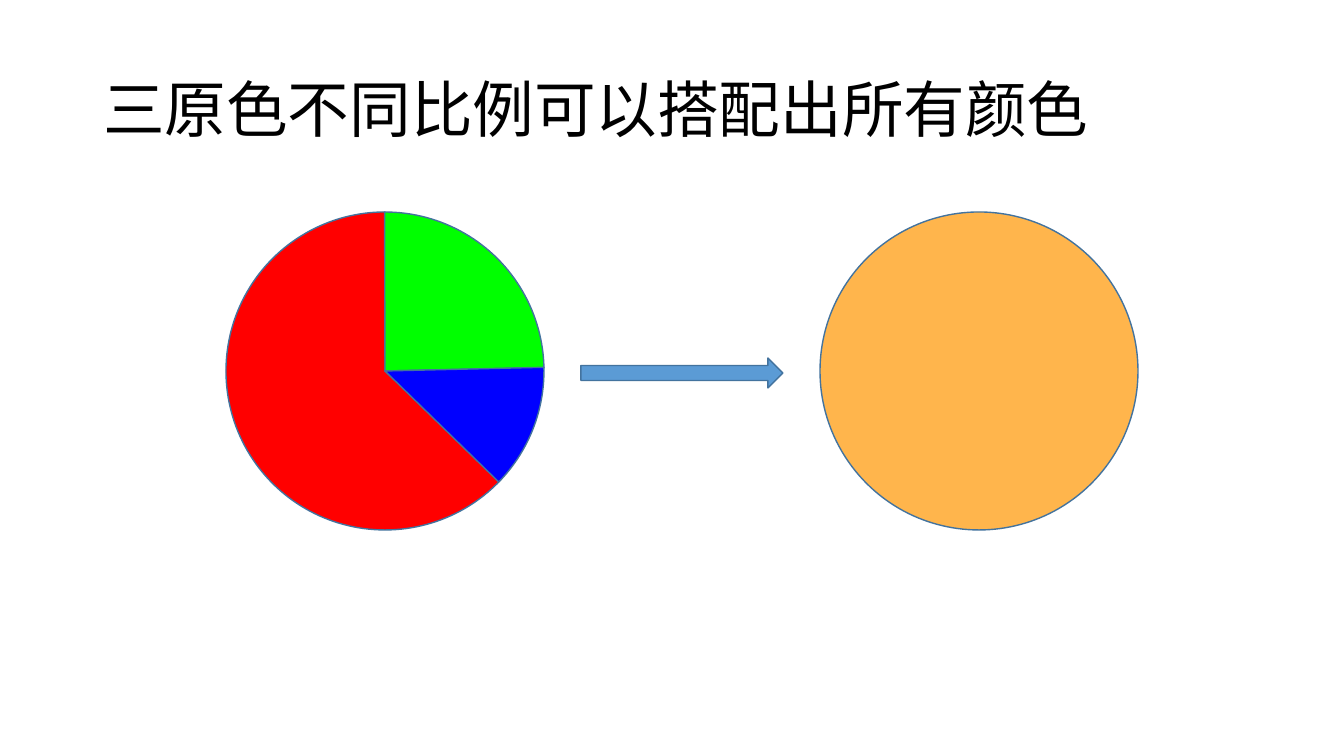
import pptx
import pptx.util
import pptx.dml.color
import pptx.enum.shapes
import pptx.enum.text
import dataclasses


@dataclasses.dataclass(frozen=True)
class Theme:
    font: str = "Calibri"
    title_size: int = 44
    text: str = "000000"
    outline: str = "43739E"
    outline_width: int = 1
    red: str = "FF0000"
    green: str = "00FF00"
    blue: str = "0000FF"
    mixed: str = "FFB54C"
    arrow: str = "5B9BD5"


theme = Theme()
PX = 914400 / 100.8
ADJUSTMENT_PER_DEGREE = 0.6
KIND = pptx.enum.shapes.MSO_SHAPE


def write_text(frame, text, *, size, color, font, align, line_spacing):
    para = frame.paragraphs[0]
    para.alignment = align
    para.line_spacing = line_spacing
    span = para.add_run()
    span.text = text
    span.font.name = font
    span.font.size = pptx.util.Pt(size)
    span.font.color.rgb = pptx.dml.color.RGBColor.from_string(color)


def draw_shape(shapes, kind, bounds, fill):
    shape = shapes.add_shape(kind, *[round(length * PX) for length in bounds])
    shape.shadow.inherit = False
    shape.fill.solid()
    shape.fill.fore_color.rgb = pptx.dml.color.RGBColor.from_string(fill)
    shape.line.color.rgb = pptx.dml.color.RGBColor.from_string(theme.outline)
    shape.line.width = pptx.util.Pt(theme.outline_width)
    return shape


deck = pptx.Presentation()
deck.slide_width = round(1344 * PX)
deck.slide_height = round(756 * PX)
page = deck.slides.add_slide(deck.slide_layouts[5])

title = page.shapes.title
title.left, title.top, title.width, title.height = [
    round(length * PX) for length in (93, 40, 1159, 146)
]
title.text_frame.auto_size = pptx.enum.text.MSO_AUTO_SIZE.NONE
title.text_frame.vertical_anchor = pptx.enum.text.MSO_ANCHOR.MIDDLE
write_text(
    title.text_frame,
    "三原色不同比例可以搭配出所有颜色",
    size=theme.title_size,
    color=theme.text,
    font=theme.font,
    align=pptx.enum.text.PP_ALIGN.LEFT,
    line_spacing=0.9,
)

circle_top, diameter = 212, 318
primaries = page.shapes.add_group_shape()
for color, start, end in (
    (theme.red, 43.25, 270),
    (theme.green, 269.85, 358.8),
    (theme.blue, 358.67, 44.29),
):
    sector = draw_shape(
        primaries.shapes, KIND.PIE, (226, circle_top, diameter, diameter), color
    )
    sector.adjustments[0] = start * ADJUSTMENT_PER_DEGREE
    sector.adjustments[1] = end * ADJUSTMENT_PER_DEGREE

draw_shape(page.shapes, KIND.OVAL, (820, circle_top, diameter, diameter), theme.mixed)
draw_shape(page.shapes, KIND.RIGHT_ARROW, (581, 358, 202, 30), theme.arrow)

deck.save("out.pptx")
